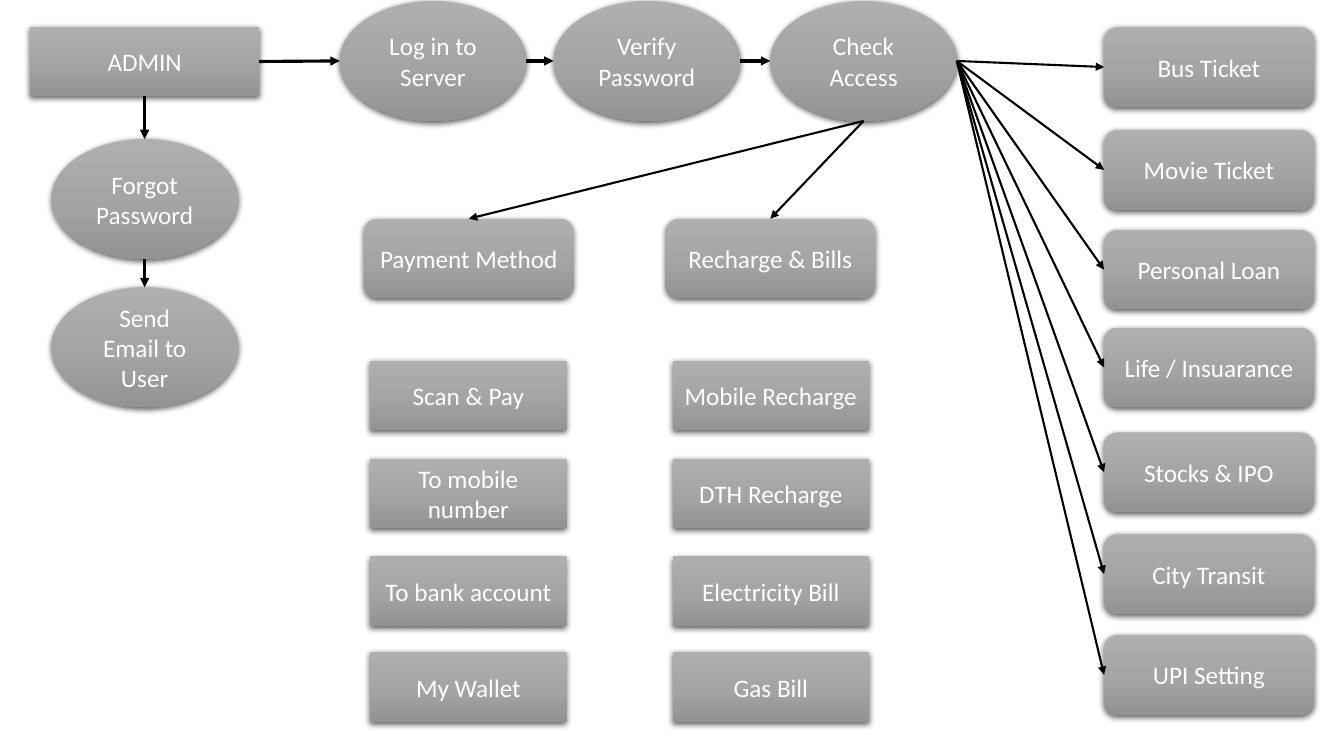
from lxml.etree import SubElement
from pptx import Presentation
from pptx.dml.color import RGBColor
from pptx.enum.shapes import MSO_CONNECTOR, MSO_SHAPE
from pptx.enum.text import MSO_ANCHOR, PP_ALIGN
from pptx.oxml import parse_xml
from pptx.oxml.ns import nsdecls, qn
from pptx.util import Inches, Pt

WHITE = RGBColor(0xFF, 0xFF, 0xFF)
BLACK = RGBColor(0x00, 0x00, 0x00)
GREY_TOP = RGBColor(0xAF, 0xAF, 0xAF)
GREY_MIDDLE = RGBColor(0xA5, 0xA5, 0xA5)
GREY_BOTTOM = RGBColor(0x93, 0x93, 0x93)
FONT = "Calibri"

# Kind of node: preset shape, width, height
ACTOR = (MSO_SHAPE.RECTANGLE, 2.27, 0.68)
STEP = (MSO_SHAPE.OVAL, 1.85, 1.19)
SERVICE = (MSO_SHAPE.ROUNDED_RECTANGLE, 2.08, 0.79)
OPTION = (MSO_SHAPE.RECTANGLE, 1.95, 0.69)

OPTION_TOPS = (3.58, 4.55, 5.52, 6.47)
MENUS = [
    ("Payment Method", 3.61, 3.67,
     ("Scan & Pay", "To mobile number", "To bank account", "My Wallet")),
    ("Recharge & Bills", 6.6, 6.67,
     ("Mobile Recharge", "DTH Recharge", "Electricity Bill", "Gas Bill")),
]
SERVICES = [
    ("Bus Ticket", 0.27), ("Movie Ticket", 1.29), ("Personal Loan", 2.28),
    ("Life / Insuarance", 3.25), ("Stocks & IPO", 4.29),
    ("City Transit", 5.3), ("UPI Setting", 6.3),
]


def paint(node):
    """Give a node its grey vertical gradient and soft shadow, without outline."""
    node.fill.gradient()
    node.fill.gradient_angle = 270
    properties = node._element.spPr
    stops = properties.find(qn("a:gradFill")).find(qn("a:gsLst"))
    for stop in list(stops):
        stops.remove(stop)
    for position, color in ((0, GREY_TOP), (50, GREY_MIDDLE), (100, GREY_BOTTOM)):
        stop = SubElement(stops, qn("a:gs"), pos=str(position * 1000))
        SubElement(stop, qn("a:srgbClr"), val=str(color))
    node.line.fill.background()
    node.shadow.inherit = False
    properties.find(qn("a:effectLst")).append(parse_xml(
        f'<a:outerShdw {nsdecls("a")} blurRad="{Pt(4.5)}" dist="{Pt(1.5)}" '
        f'dir="5400000" algn="ctr" rotWithShape="0"><a:srgbClr val="{BLACK}">'
        '<a:alpha val="63000"/></a:srgbClr></a:outerShdw>'))


def add_node(page, kind, label, left, top):
    """Add a labelled node of the given kind and return it."""
    preset, width, height = kind
    node = page.shapes.add_shape(
        preset, Inches(left), Inches(top), Inches(width), Inches(height))
    paint(node)
    frame = node.text_frame
    frame.word_wrap = True
    frame.vertical_anchor = MSO_ANCHOR.MIDDLE
    para = frame.paragraphs[0]
    para.alignment = PP_ALIGN.CENTER
    span = para.add_run()
    span.text = label
    span.font.name = FONT
    span.font.size = Pt(18)
    span.font.color.rgb = WHITE
    return node


def side_point(node, side):
    """Return the middle of one side of a node."""
    center = node.left + node.width // 2
    middle = node.top + node.height // 2
    return {
        "top": (center, node.top),
        "bottom": (center, node.top + node.height),
        "left": (node.left, middle),
        "right": (node.left + node.width, middle),
    }[side]


def add_arrow(page, source, source_side, target, target_side, weight):
    """Draw a straight arrow between the sides of two nodes."""
    arrow = page.shapes.add_connector(
        MSO_CONNECTOR.STRAIGHT,
        *side_point(source, source_side), *side_point(target, target_side))
    arrow.line.color.rgb = BLACK
    arrow.line.width = Pt(weight)
    SubElement(arrow.line._get_or_add_ln(), qn("a:tailEnd"), type="triangle")
    SubElement(arrow._element.spPr, qn("a:effectLst"))


def add_chain(page, nodes, source_side, target_side):
    """Join each node to the next one with a heavy arrow."""
    for source, target in zip(nodes, nodes[1:]):
        add_arrow(page, source, source_side, target, target_side, 2.25)


def main():
    """Build the payment application flow."""
    deck = Presentation()
    deck.slide_width, deck.slide_height = Inches(13.33), Inches(7.5)
    page = deck.slides.add_slide(deck.slide_layouts[6])

    admin = add_node(page, ACTOR, "ADMIN", 0.3, 0.27)
    forgot = add_node(page, STEP, "Forgot Password", 0.51, 1.38)
    email = add_node(page, STEP, "Send Email to User", 0.51, 2.85)
    login = add_node(page, STEP, "Log in to Server", 3.37, 0.01)
    verify = add_node(page, STEP, "Verify Password", 5.49, 0.01)
    access = add_node(page, STEP, "Check Access", 7.64, 0.01)
    add_chain(page, [admin, forgot, email], "bottom", "top")
    add_chain(page, [admin, login, verify, access], "right", "left")

    for title, left, option_left, options in MENUS:
        menu = add_node(page, SERVICE, title, left, 2.17)
        add_arrow(page, access, "bottom", menu, "top", 1.5)
        for option, top in zip(options, OPTION_TOPS):
            add_node(page, OPTION, option, option_left, top)

    for label, top in SERVICES:
        service = add_node(page, SERVICE, label, 10.95, top)
        add_arrow(page, access, "right", service, "left", 1.5)

    deck.save("out.pptx")


main()
